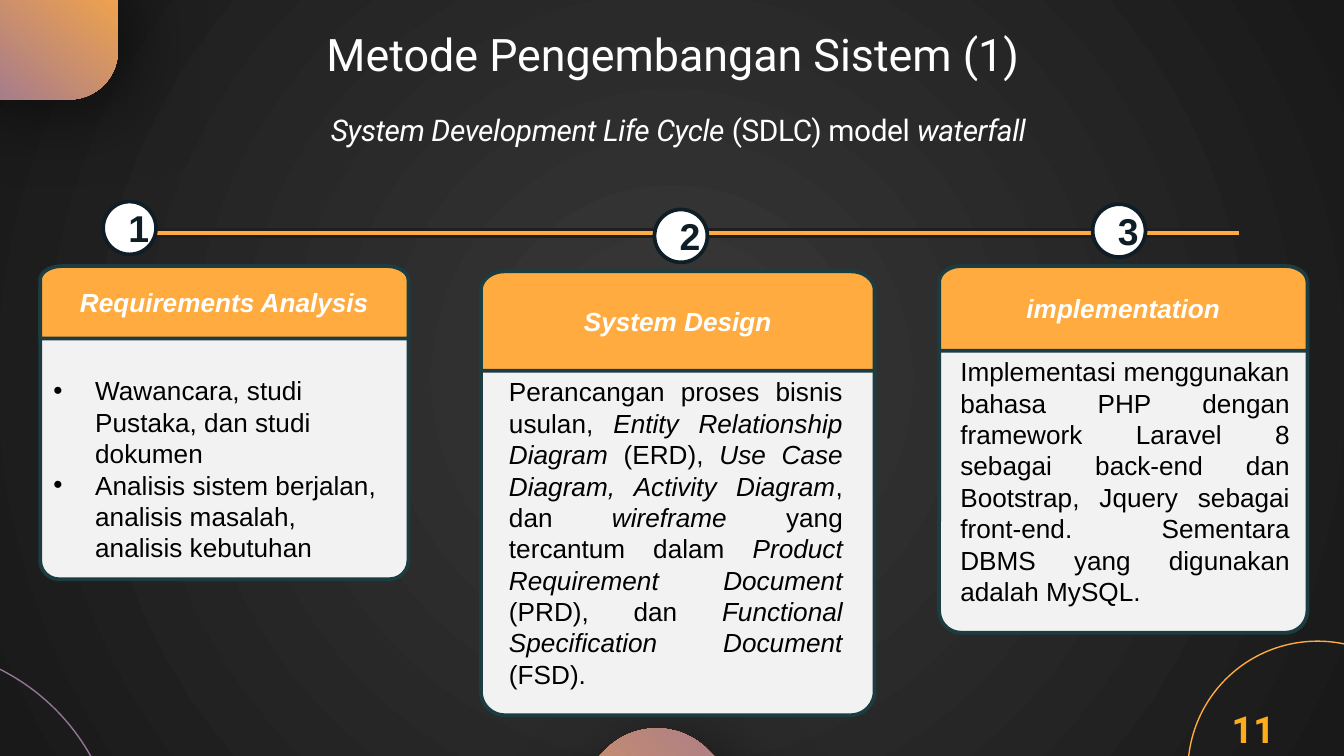
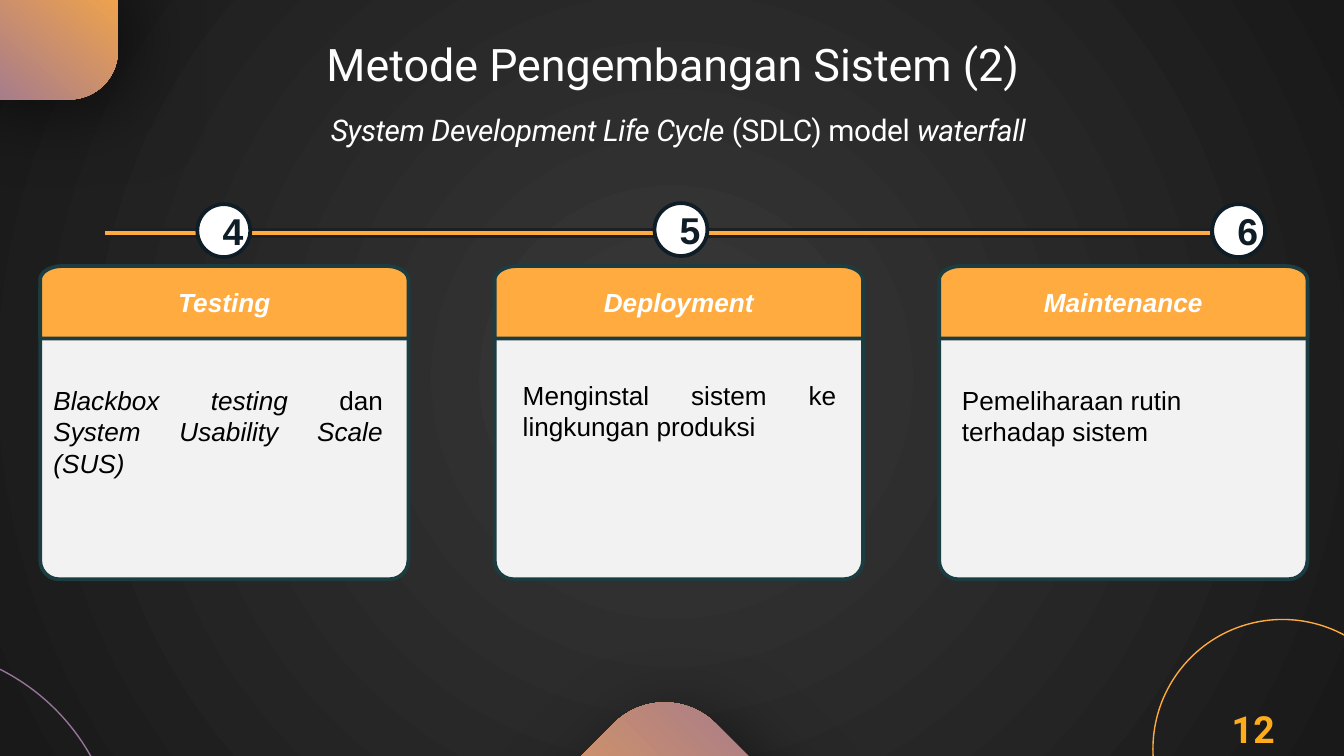
from dataclasses import dataclass
from math import cos, pi, sin

from lxml import etree
from pptx import Presentation
from pptx.dml.color import RGBColor
from pptx.enum.shapes import MSO_SHAPE
from pptx.enum.text import MSO_ANCHOR, MSO_AUTO_SIZE, PP_ALIGN
from pptx.oxml.ns import qn
from pptx.util import Cm, Pt

OVAL, RECT, ROUNDED = MSO_SHAPE.OVAL, MSO_SHAPE.RECTANGLE, MSO_SHAPE.ROUNDED_RECTANGLE
TOP, MIDDLE = MSO_ANCHOR.TOP, MSO_ANCHOR.MIDDLE
LEFT, CENTER, JUSTIFY = PP_ALIGN.LEFT, PP_ALIGN.CENTER, PP_ALIGN.JUSTIFY
FIXED, GROW = MSO_AUTO_SIZE.NONE, MSO_AUTO_SIZE.SHAPE_TO_FIT_TEXT

COLORS = {
    "glow": "393939", "night": "191919", "orange": "FFAB40", "mauve": "977499",
    "white": "FFFFFF", "black": "000000", "navy": "0F1D26", "teal": "1B3C41",
    "paper": "F2F2F2", "track": "1F1E20", "amber": "FFAC1A",
}

# Each text style: font attributes, colour name, letter spacing
STYLES = {
    "title": (dict(name="Roboto", size=Pt(24)), "white", 0),
    "subtitle": (dict(name="Roboto", size=Pt(16)), "white", -20),
    "page": (dict(name="Roboto", size=Pt(20), bold=True), "amber", 10),
    "badge": (dict(name="Arial", size=Pt(20), bold=True), "navy", 0),
    "header": (dict(name="Arial", size=Pt(14), bold=True, italic=True), "white", 0),
    "note": (dict(name="Arial", size=Pt(14)), "black", 0),
}


@dataclass
class Stage:
    """One waterfall stage; badge and note are placed from the card's corner, in cm."""
    number: str
    name: str
    card: tuple      # left, top, width, header height
    body: tuple      # top offset, height
    badge: tuple     # left and top offset
    note: tuple      # left and top offset, width, height
    paragraphs: list  # each a list of (text, italic)
    align: int = JUSTIFY
    bulleted: bool = False


def rgb(name):
    return RGBColor.from_string(COLORS[name])


def cm(*lengths):
    return [Cm(length) for length in lengths]


def paint(shape, fill, line, width=0):
    shape.shadow.inherit = False
    if fill:
        shape.fill.solid()
        shape.fill.fore_color.rgb = rgb(fill)
    else:
        shape.fill.background()
    if line:
        shape.line.color.rgb = rgb(line)
        shape.line.width = Pt(width)
    else:
        shape.line.fill.background()


def blend(fill, first, last):
    fill.gradient()
    for stop, name in zip(fill.gradient_stops, (first, last)):
        stop.color.rgb = rgb(name)


def add_bullet(paragraph):
    props = paragraph._p.get_or_add_pPr()
    props.set("marL", str(Cm(0.79)))
    props.set("indent", str(-Cm(0.79)))
    color = etree.SubElement(props, qn("a:buClr"))
    etree.SubElement(color, qn("a:srgbClr"), val=COLORS["black"])
    etree.SubElement(props, qn("a:buFont"), typeface="Arial")
    etree.SubElement(props, qn("a:buChar"), char="•")


def write(frame, paragraphs, style, align=CENTER, bulleted=False, **layout):
    for key, value in {"word_wrap": True, **layout}.items():
        setattr(frame, key, value)
    font_format, color, spacing = STYLES[style]
    for index, runs in enumerate(paragraphs):
        paragraph = frame.add_paragraph() if index else frame.paragraphs[0]
        paragraph.alignment = align
        if bulleted:
            add_bullet(paragraph)
        for text, italic in runs:
            run = paragraph.add_run()
            run.text = text
            for key, value in {"italic": italic, **font_format}.items():
                setattr(run.font, key, value)
            run.font.color.rgb = rgb(color)
            if spacing:
                run.font._element.set("spc", str(spacing))


def add_label(slide, box, paragraphs, style, **layout):
    frame = slide.shapes.add_textbox(*cm(*box)).text_frame
    write(frame, paragraphs, style, auto_size=GROW, **layout)


def add_ring(slide, left, top, size, color):
    ring = slide.shapes.add_shape(OVAL, *cm(left, top, size, size))
    paint(ring, None, color, 0.75)


def add_tile(slide, box, corner, angle, rotation=0):
    """Rounded gradient tile with a soft shadow."""
    tile = slide.shapes.add_shape(ROUNDED, *cm(*box))
    paint(tile, None, None)
    tile.adjustments[0] = corner
    tile.rotation = rotation
    blend(tile.fill, "orange", "mauve")
    tile.fill.gradient_angle = 360 - angle
    effects = tile._element.spPr.find(qn("a:effectLst"))
    shadow = etree.SubElement(effects, qn("a:outerShdw"), blurRad=str(Pt(39.4)),
                              dist=str(Pt(11.2)), dir=str(40 * 60000),
                              algn="bl", rotWithShape="0")
    color = etree.SubElement(shadow, qn("a:srgbClr"), val=COLORS["black"])
    etree.SubElement(color, qn("a:alpha"), val="50000")


def add_background(slide):
    fill = slide.background.fill
    blend(fill, "glow", "night")
    linear = next(slide._element.iter(qn("a:lin")))
    circle = etree.Element(qn("a:path"), path="circle")
    etree.SubElement(circle, qn("a:fillToRect"),
                     **{side: "50000" for side in "ltrb"})
    linear.getparent().replace(linear, circle)


def add_heading(slide, text, top, height):
    title = slide.shapes.title
    title.left, title.top, title.width, title.height = cm(2.01, top, 21.41, height)
    write(title.text_frame, [[(text, False)]], "title", auto_size=FIXED,
          vertical_anchor=TOP, margin_left=0, margin_top=0,
          margin_right=0, margin_bottom=0)
    add_label(slide, (0.94, 1.98, 23.77, 0.94),
              [[("System Development Life Cycle", True), (" (SDLC) model ", False),
                ("waterfall", True)]], "subtitle")


def add_badge(slide, number, left, top):
    badge = slide.shapes.add_shape(OVAL, *cm(left, top, 1, 1))
    paint(badge, "white", "navy", 2)
    side, edge = cm(0.33, 0.18)
    write(badge.text_frame, [[(number, False)]], "badge", vertical_anchor=MIDDLE,
          margin_left=side, margin_right=side, margin_top=edge, margin_bottom=edge)


def add_header(shapes, name, left, top, width, height):
    """Band whose two upper corners are quarter ellipses."""
    rx, ry, steps = 0.06 * width, 0.19 * height, 10
    angles = [pi / 2 * step / steps for step in range(steps + 1)]
    right, bottom = left + width, top + height
    outline = [(right - rx + rx * sin(a), top + ry - ry * cos(a)) for a in angles]
    outline += [(right, bottom), (left, bottom)]
    outline += [(left + rx - rx * cos(a), top + ry - ry * sin(a)) for a in angles]
    points = [cm(*point) for point in outline]
    builder = shapes.build_freeform(*points[0])
    builder.add_line_segments(points[1:], close=True)
    header = builder.convert_to_shape()
    paint(header, "orange", "teal", 2)
    write(header.text_frame, [[(name, True)]], "header", vertical_anchor=MIDDLE)


def add_stage(slide, stage):
    left, top, width, header_height = stage.card
    drop, body_height = stage.body
    add_badge(slide, stage.number, left + stage.badge[0], top + stage.badge[1])

    # Card: body with the header band over it
    group = slide.shapes.add_group_shape()
    body = group.shapes.add_shape(ROUNDED, *cm(left, top + drop, width, body_height))
    body.adjustments[0] = 0.061
    paint(body, "paper", "teal", 2)
    add_header(group.shapes, stage.name, left, top, width, header_height)

    # Description
    dx, dy, note_width, note_height = stage.note
    add_label(slide, (left + dx, top + dy, note_width, note_height),
              stage.paragraphs, "note", align=stage.align, bulleted=stage.bulleted)


def add_waterfall_slide(prs, title, heading_box, dome, ring, track_width, page, stages):
    slide = prs.slides.add_slide(prs.slide_layouts[5])
    add_background(slide)
    add_ring(slide, -5.87, 12.22, 8.1, "mauve")
    add_heading(slide, title, *heading_box)
    add_tile(slide, (*dome, 4.34, 4.34), 0.314, 90, 225)
    add_ring(slide, *ring, 4.9, "orange")

    # Timeline and its stages
    track = slide.shapes.add_shape(RECT, *cm(1.96, 4.34, track_width, 0.13))
    paint(track, "orange", "track", 1.5)
    for stage in stages:
        add_stage(slide, stage)

    # Page number and corner tile
    add_label(slide, (21.97, 13.23, 3.43, 1.07), [[(page, False)]], "page")
    add_tile(slide, (-1.02, -0.86, 3.25, 2.74), 0.336, 130)


SHORT_BODY = (0.08, 5.84)

FIRST_STAGES = [
    Stage("1", "Requirements Analysis", (0.76, 5.03, 6.96, 1.37), SHORT_BODY,
          (1.19, -1.22), (0, 1.93, 6.73, 3.84),
          [[("Wawancara, studi Pustaka, dan studi dokumen", False)],
           [("Analisis sistem berjalan, analisis masalah, analisis kebutuhan", False)]],
          LEFT, True),
    Stage("2", "System Design", (9.09, 5.13, 7.44, 1.88), (0.41, 7.98),
          (3.28, -1.17), (0.28, 1.85, 6.81, 6.25),
          [[("Perancangan proses bisnis usulan, ", False),
            ("Entity Relationship Diagram", True), (" (ERD), ", False),
            ("Use Case Diagram, Activity Diagram", True), (", dan ", False),
            ("wireframe ", True), ("yang tercantum dalam ", False),
            ("Product Requirement Document ", True), ("(PRD), dan ", False),
            ("Functional Specification Document", True), (" (FSD).", False)]]),
    Stage("3", "implementation", (17.75, 5.03, 6.96, 1.6), (0.1, 6.83),
          (2.9, -1.17), (0.15, 1.57, 6.73, 5.64),
          [[("Implementasi menggunakan bahasa PHP dengan framework Laravel 8 sebagai "
             "back-end dan Bootstrap, Jquery sebagai front-end. Sementara DBMS yang "
             "digunakan adalah MySQL.", False)]]),
]

SECOND_STAGES = [
    Stage("4", "Testing", (0.76, 5.03, 6.96, 1.37), SHORT_BODY,
          (2.97, -1.17), (0, 2.11, 6.73, 2.06),
          [[("Blackbox testing ", True), ("dan", False),
            (" System Usability Scale (SUS)", True)]]),
    Stage("5", "Deployment", (9.35, 5.03, 6.96, 1.37), SHORT_BODY,
          (3.02, -1.19), (0.28, 2.01, 6.43, 1.45),
          [[("Menginstal sistem ke lingkungan produksi", False)]]),
    Stage("6", "Maintenance", (17.75, 5.03, 6.96, 1.37), SHORT_BODY,
          (5.16, -1.17), (0.18, 2.11, 6.73, 1.45),
          [[("Pemeliharaan rutin terhadap sistem", False)]], LEFT),
]


def main():
    prs = Presentation()
    prs.slide_width, prs.slide_height = cm(25.4, 14.29)
    add_waterfall_slide(prs, "Metode Pengembangan Sistem (1)", (0.51, 1.63),
                        (10.24, 14.1), (22.45, 12.12), 21.49, "11", FIRST_STAGES)
    add_waterfall_slide(prs, "Metode Pengembangan Sistem (2)", (0.69, 1.27),
                        (10.39, 13.61), (21.79, 11.71), 20.93, "12", SECOND_STAGES)
    prs.save("out.pptx")


if __name__ == "__main__":
    main()
